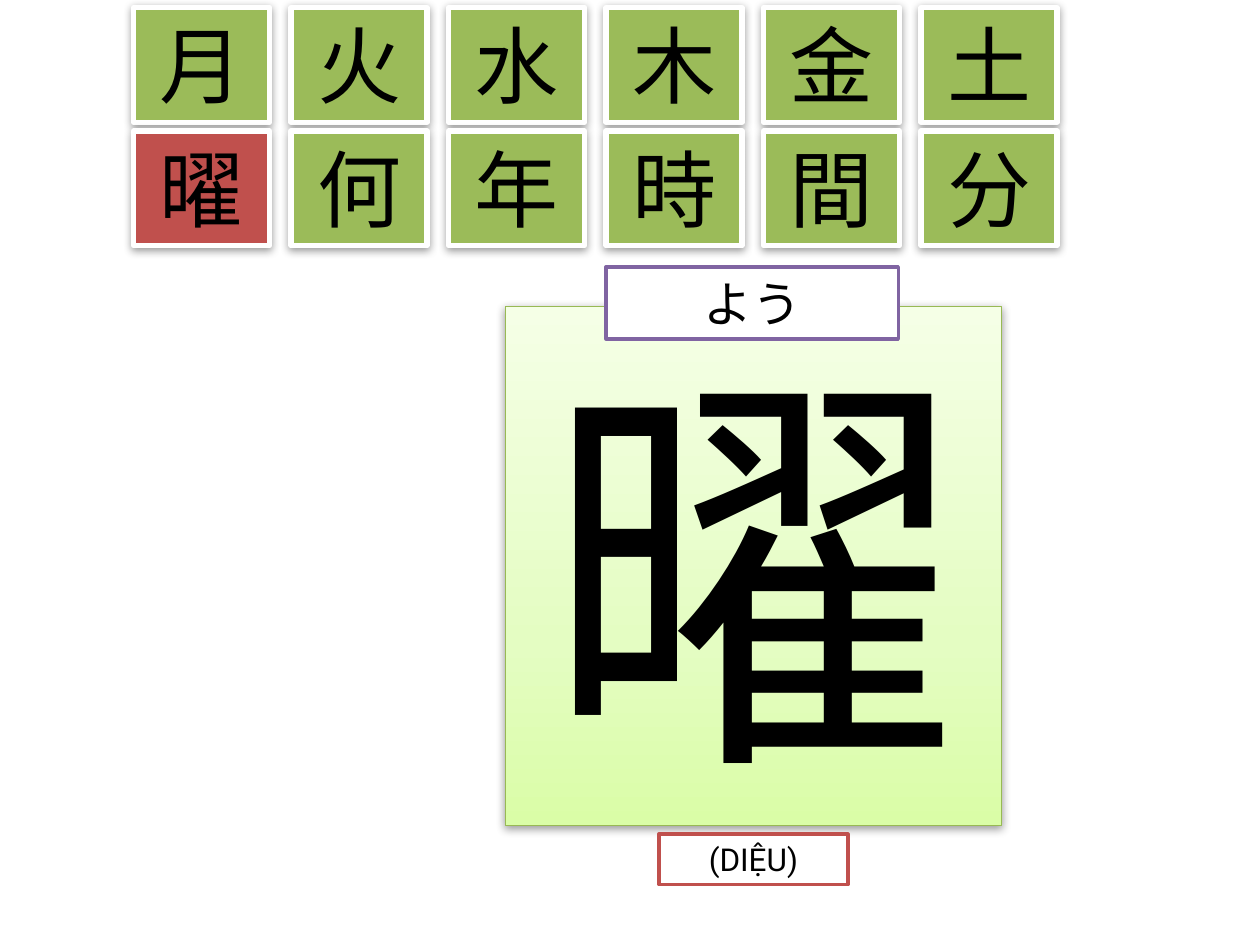
from lxml import etree
from pptx import Presentation, util as u
from pptx.dml.color import RGBColor
from pptx.enum import shapes, text
from pptx.oxml.ns import qn

GREEN = RGBColor(0x9B, 0xBB, 0x59)
DARK_GREEN = RGBColor(0x98, 0xB9, 0x54)
RED = RGBColor(0xC0, 0x50, 0x4D)
PURPLE = RGBColor(0x80, 0x64, 0xA2)
WHITE = RGBColor(0xFF, 0xFF, 0xFF)
BLACK = RGBColor(0, 0, 0)
GRADIENT = [(0, RGBColor(0xDA, 0xFD, 0xA7)),
            (35, RGBColor(0xE4, 0xFD, 0xC2)),
            (100, RGBColor(0xF5, 0xFF, 0xE6))]

ROWS = ["月火水木金土", "曜何年時間分"]
CURRENT = "曜"
LEFT, TOP = 1.06, 0.06
COL_STEP, ROW_STEP = 1.25, 0.98
TILE_W, TILE_H = 1.08, 0.91


def add_box(s, box, label, size, line, line_width, fill=WHITE, font="Arial"):
    """Outlined rectangle with one centred line of text."""
    sp = s.shapes.add_shape(shapes.MSO_SHAPE.RECTANGLE, *map(u.Inches, box))
    sp.shadow.inherit = False
    sp.fill.solid()
    sp.fill.fore_color.rgb = fill
    sp.line.color.rgb = line
    sp.line.width = u.Pt(line_width)
    tf = sp.text_frame
    tf.word_wrap = True
    tf.auto_size = text.MSO_AUTO_SIZE.SHAPE_TO_FIT_TEXT
    tf.vertical_anchor = text.MSO_ANCHOR.TOP
    p = tf.paragraphs[0]
    p.text = label
    p.alignment = text.PP_ALIGN.CENTER
    p.font.name, p.font.size = font, u.Pt(size)
    p.font.color.rgb = BLACK
    return sp


def add_shadow(sp):
    """Soft shadow just below the shape."""
    effects = sp._element.spPr.find(qn("a:effectLst"))
    shadow = etree.SubElement(
        effects, qn("a:outerShdw"), blurRad=str(u.Pt(5)), dist=str(u.Pt(1.6)),
        dir="5400000", rotWithShape="0")
    color = etree.SubElement(shadow, qn("a:srgbClr"), val=str(BLACK))
    etree.SubElement(color, qn("a:alpha"), val="38000")


def set_gradient(sp, stops):
    """Gradient running from the bottom edge to the top."""
    sp.fill.gradient()
    sp.fill.gradient_angle = 90
    stop_list = sp._element.spPr.find(qn("a:gradFill")).find(qn("a:gsLst"))
    for old in list(stop_list):
        stop_list.remove(old)
    for pos, color in stops:
        stop = etree.SubElement(stop_list, qn("a:gs"), pos=str(pos * 1000))
        etree.SubElement(stop, qn("a:srgbClr"), val=str(color))


def add_tiles(s):
    for row, kanji_row in enumerate(ROWS):
        for col, kanji in enumerate(kanji_row):
            box = (LEFT + col * COL_STEP, TOP + row * ROW_STEP, TILE_W, TILE_H)
            fill = RED if kanji == CURRENT else GREEN
            add_shadow(add_box(s, box, kanji, 48, WHITE, 3, fill))


def add_card(s):
    card = add_box(s, (4.01, 2.43, 3.94, 4.12), CURRENT, 239, DARK_GREEN, 0.75)
    set_gradient(card, GRADIENT)
    add_shadow(card)
    # Sino-Vietnamese name and reading
    add_box(s, (5.23, 6.62, 1.5, 0.4), "(DIỆU)", 18, RED, 2, font="Roboto")
    add_box(s, (4.81, 2.12, 2.32, 0.57), "よう", 28, PURPLE, 2)


def main():
    prs = Presentation()
    prs.slide_width, prs.slide_height = u.Inches(10), u.Inches(7.5)
    s = prs.slides.add_slide(prs.slide_layouts[6])
    add_card(s)
    add_tiles(s)
    prs.save("out.pptx")


if __name__ == "__main__":
    main()
